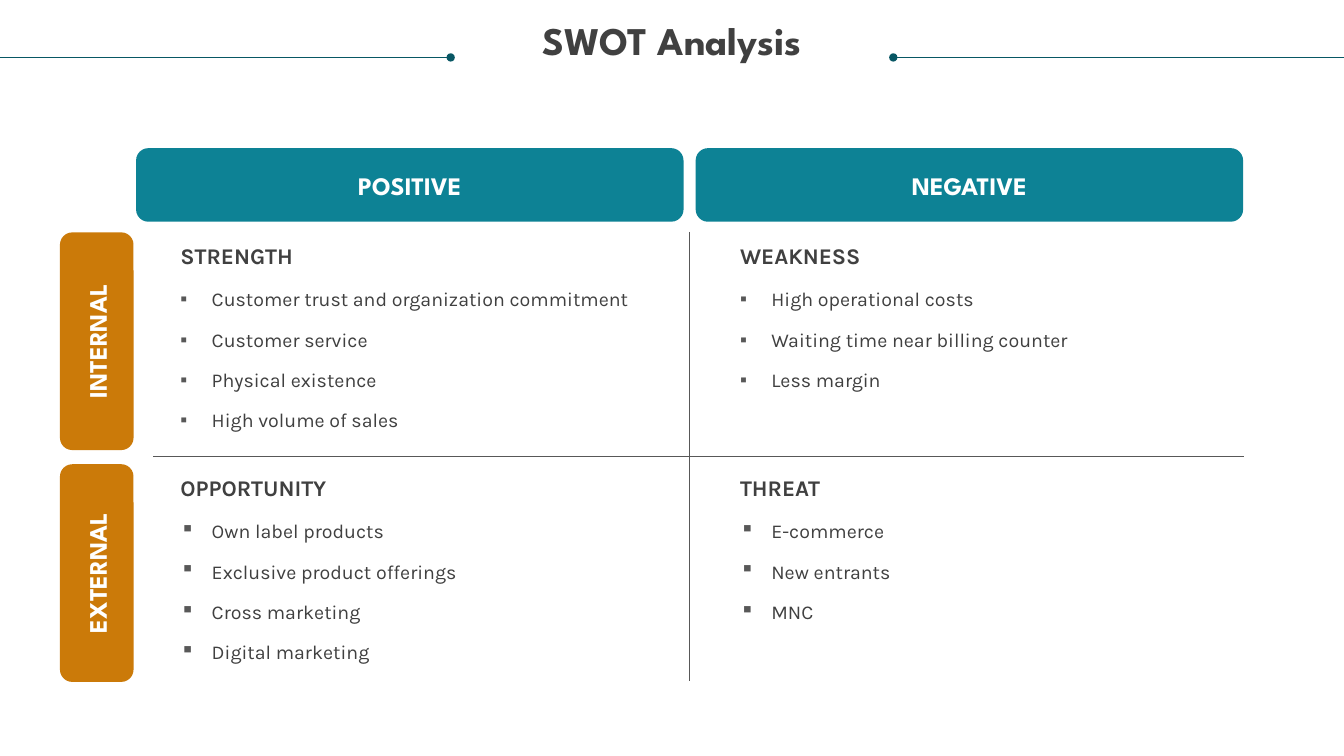
from lxml import etree
from pptx import Presentation
from pptx.dml.color import RGBColor
from pptx.enum.shapes import MSO_CONNECTOR, MSO_SHAPE
from pptx.enum.text import MSO_ANCHOR, MSO_AUTO_SIZE, PP_ALIGN
from pptx.oxml.ns import qn
from pptx.util import Pt

PX = 9144
LINE = MSO_CONNECTOR.STRAIGHT
ROUND = MSO_SHAPE.ROUNDED_RECTANGLE
TOP, MIDDLE = MSO_ANCHOR.TOP, MSO_ANCHOR.MIDDLE
LEFT, CENTER = PP_ALIGN.LEFT, PP_ALIGN.CENTER
NO_FIT = MSO_AUTO_SIZE.NONE

HEAD, BODY = "League Spartan", "Karla"
INK, GRAY, DEEP, TEAL, AMBER, WHITE = (
    "404040", "585858", "085764", "0D8295", "CB7A09", "FFFFFF")

COLS = [("POSITIVE", 135), ("NEGATIVE", 690)]
ROWS = [("INTERNAL", 230), ("EXTERNAL", 460)]
CELLS = [
    [("STRENGTH", ["Customer trust and organization commitment", "Customer service",
                   "Physical existence", "High volume of sales"]),
     ("WEAKNESS", ["High operational costs", "Waiting time near billing counter",
                   "Less margin"])],
    [("OPPORTUNITY", ["Own label products", "Exclusive product offerings",
                      "Cross marketing", "Digital marketing"]),
     ("THREAT", ["E-commerce", "New entrants", "MNC"])],
]


def color(code):
    return RGBColor.from_string(code)


def place(shape, x, y, w, h):
    shape.left, shape.top, shape.width, shape.height = (n * PX for n in (x, y, w, h))


def style(para, font, size, code, bold, align):
    para.alignment = align
    face = para.font
    face.name, face.size, face.bold = font, Pt(size), bold
    face.color.rgb = color(code)


def frame(shape, anchor):
    text = shape.text_frame
    text.word_wrap = True
    text.auto_size = NO_FIT
    text.vertical_anchor = anchor
    text.margin_left = text.margin_right = text.margin_top = text.margin_bottom = 0
    return text


def label(shape, words, font, size, code, align=LEFT, anchor=TOP):
    text = frame(shape, anchor)
    text.text = words
    para = text.paragraphs[0]
    para.space_before = Pt(0)
    style(para, font, size, code, True, align)
    return para


def bullet(para):
    props = para._p.get_or_add_pPr()
    props.set("marL", str(31 * PX))
    props.set("indent", str(-31 * PX))
    tint = etree.SubElement(props, qn("a:buClr"))
    etree.SubElement(tint, qn("a:srgbClr"), val=GRAY)
    etree.SubElement(props, qn("a:buChar"), char="▪")


def items(shape, lines):
    text = frame(shape, TOP)
    text.text = "\n".join(lines)
    for i, para in enumerate(text.paragraphs):
        para.space_before = Pt(12 if i else 0)
        bullet(para)
        style(para, BODY, 14, INK, False, LEFT)


def tab(slide, words, fill, x, y, w, h, turn=0):
    shape = slide.shapes.add_shape(ROUND, 0, 0, 0, 0)
    place(shape, x, y, w, h)
    shape.rotation = turn
    shape.shadow.inherit = False
    shape.fill.solid()
    shape.fill.fore_color.rgb = color(fill)
    shape.line.fill.background()
    label(shape, words, HEAD, 18, WHITE, CENTER, MIDDLE)


def rule(slide, code, x1, y1, x2, y2, dot=False):
    line = slide.shapes.add_connector(LINE, x1 * PX, y1 * PX, x2 * PX, y2 * PX)
    line.line.color.rgb = color(code)
    line.line.width = Pt(0.5)
    if dot:
        etree.SubElement(line.line._ln, qn("a:tailEnd"), type="oval")
    etree.SubElement(line._element.spPr, qn("a:effectLst"))


def cell(name, body, x, y, title, lines):
    place(name, x, y, 455, 27)
    label(name, title, BODY, 16, INK)
    place(body, x, y + 45, 455, 185)
    items(body, lines)


def main():
    deck = Presentation()
    deck.slide_width, deck.slide_height = 1333 * PX, 750 * PX
    slide = deck.slides.add_slide(deck.slide_layouts[4])
    title = slide.shapes.title
    place(title, 25, 21, 1283, 73)
    label(title, "SWOT Analysis", HEAD, 28, INK, CENTER).line_spacing = 0.9
    rule(slide, DEEP, 0, 57, 447, 57, True)
    rule(slide, DEEP, 1333, 57, 886, 57, True)

    for words, x in COLS:
        tab(slide, words, TEAL, x, 147, 543, 73)
    for words, y in ROWS:
        tab(slide, words, AMBER, -12, y + 72, 216, 73, 270)
    rule(slide, GRAY, 152, 453, 1234, 453)
    rule(slide, GRAY, 684, 230, 684, 676)

    slots = list(slide.placeholders)[1:]
    slots += [slide.shapes.add_textbox(0, 0, 0, 0) for _ in range(4)]
    pairs = iter(slots)
    for (_, y), row in zip(ROWS, CELLS):
        for (_, x), (name, lines) in zip(COLS, row):
            cell(next(pairs), next(pairs), x + 44, y + 10, name, lines)

    deck.save("out.pptx")


if __name__ == "__main__":
    main()
